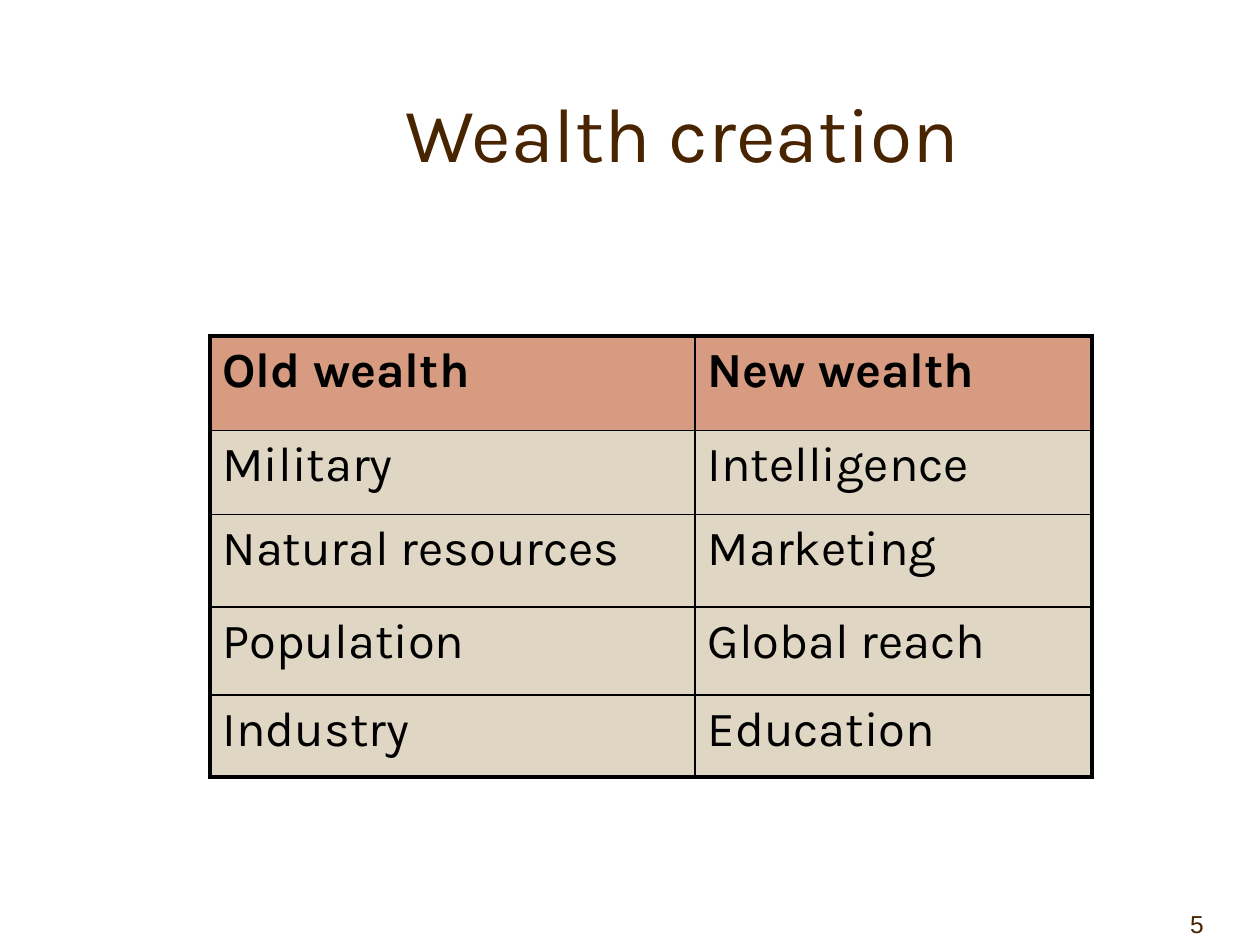
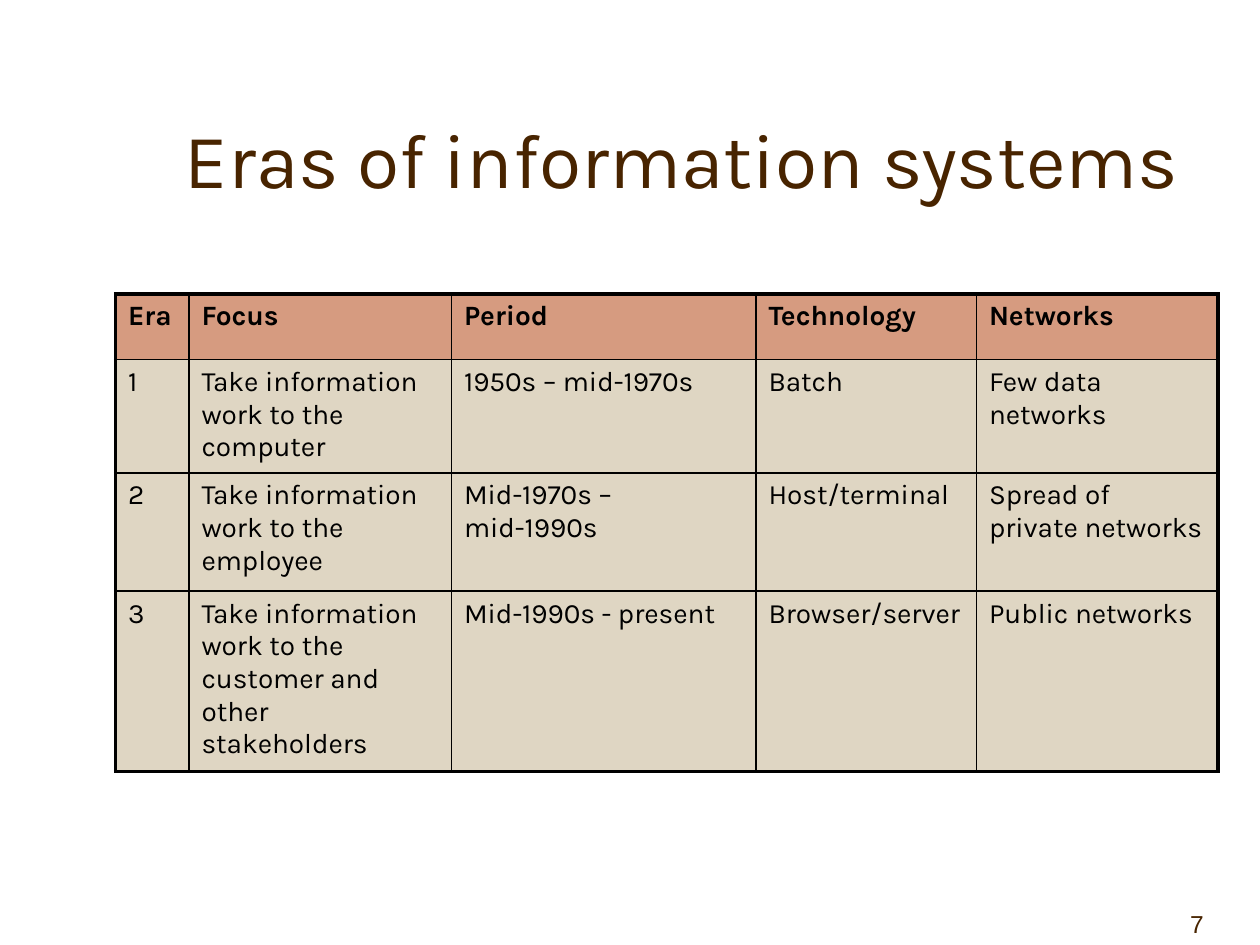
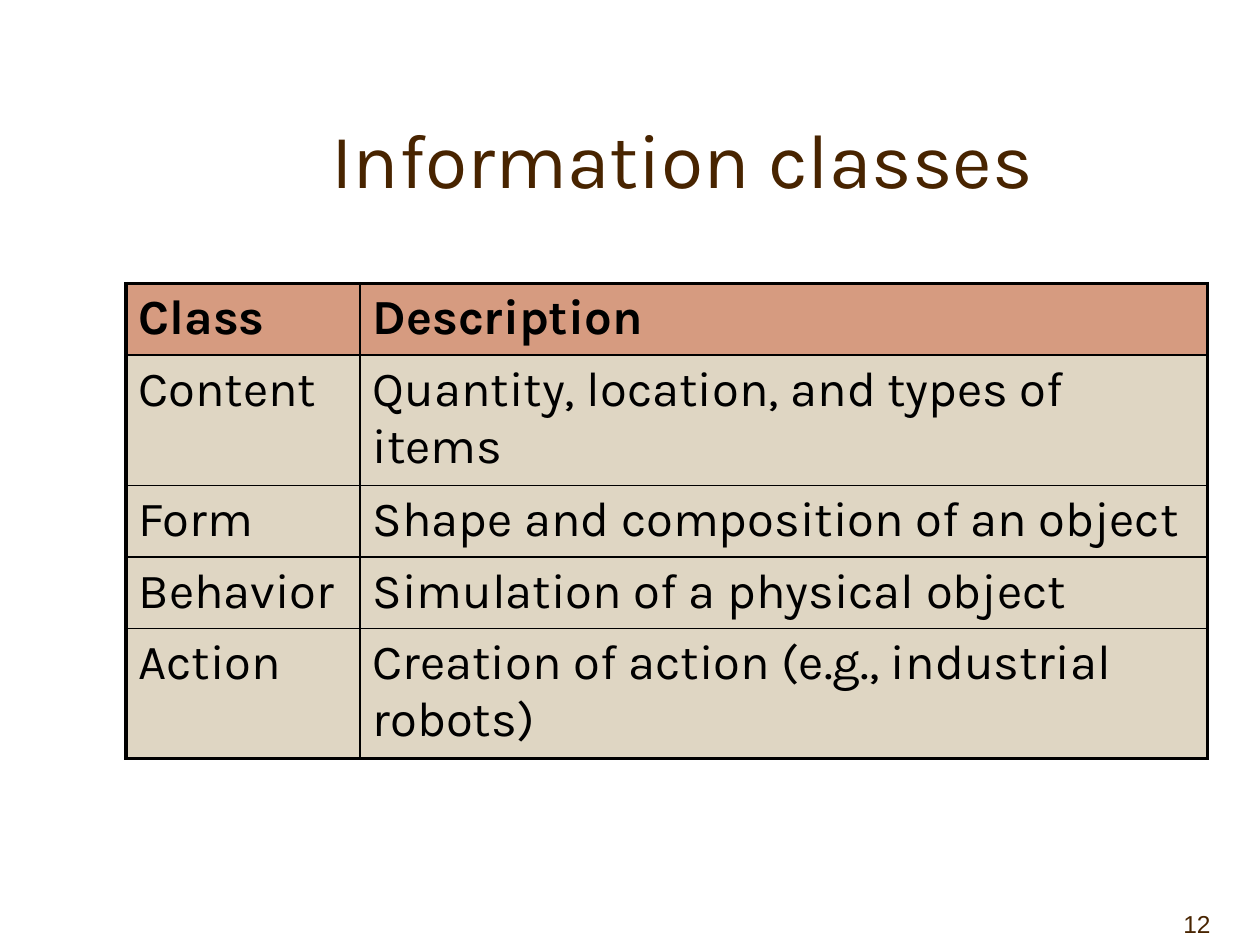
from lxml.etree import SubElement
from pptx import Presentation
from pptx.dml.color import RGBColor
from pptx.enum.text import MSO_ANCHOR, PP_ALIGN
from pptx.oxml.ns import qn
from pptx.util import Inches, Pt

# Grid: 120 columns by 90 rows on a 10 by 7.5 inch slide
CELL = Inches(10) / 120
COLUMNS, ROWS = 120, 90

BROWN, BLACK, HEADER_FILL, BODY_FILL = "482400", "000000", "D69B80", "DFD6C3"
TITLE_BOX = (14, 5, 102, 15)
NUMBER_BOX = (108, 84, 12, 6)
TITLE_FONT = {"name": "Karla", "size": Pt(44)}
NUMBER_FONT = {"name": "Arial", "size": Pt(14)}
OUTER_LINE, INNER_LINE = Pt(2.25), Pt(1)

SLIDES = [
    {
        "title": "Wealth creation", "anchor": MSO_ANCHOR.MIDDLE, "number": 5,
        "corner": (20, 32), "size": 28,
        "widths": [46.2, 37.8], "heights": [9, 8, 8.8, 8.4, 7.8],
        "rows": [
            ("Old wealth", "New wealth"),
            ("Military", "Intelligence"),
            ("Natural resources", "Marketing"),
            ("Population", "Global reach"),
            ("Industry", "Education"),
        ],
    },
    {
        "title": "Eras of information systems", "anchor": MSO_ANCHOR.BOTTOM, "number": 7,
        "corner": (11, 28), "size": 16,
        "widths": [7, 25, 29, 21, 23], "heights": [6.25, 10.5, 11.25, 16.8],
        "rows": [
            ("Era", "Focus", "Period", "Technology", "Networks"),
            ("1", "Take information work to the computer", "1950s – mid-1970s",
             "Batch", "Few data networks"),
            ("2", "Take information work to the employee", "Mid-1970s – mid-1990s",
             "Host/terminal", "Spread of private networks"),
            ("3", "Take information work to the customer and other stakeholders",
             "Mid-1990s - present", "Browser/server", "Public networks"),
        ],
    },
    {
        "title": "Information classes", "anchor": MSO_ANCHOR.BOTTOM, "number": 12,
        "corner": (12, 27), "size": 28,
        "widths": [22.3, 80.7], "heights": [6.6, 12.1, 6.6, 6.6, 12.1],
        "rows": [
            ("Class", "Description"),
            ("Content", "Quantity, location, and types of items"),
            ("Form", "Shape and composition of an object"),
            ("Behavior", "Simulation of a physical object"),
            ("Action", "Creation of action (e.g., industrial robots)"),
        ],
    },
]


def grid(*counts):
    return [round(count * CELL) for count in counts]


def color(hex_text):
    return RGBColor.from_string(hex_text)


def write(para, text, font, hex_text):
    span = para.add_run()
    span.text = text
    for name, value in font.items():
        setattr(span.font, name, value)
    span.font.color.rgb = color(hex_text)


def add_label(page, box, text, font, anchor):
    frame = page.shapes.add_textbox(*grid(*box)).text_frame
    for name, value in {"word_wrap": True, "vertical_anchor": anchor}.items():
        setattr(frame, name, value)
    para = frame.paragraphs[0]
    para.alignment = PP_ALIGN.CENTER
    write(para, text, font, BROWN)


def set_borders(cell, outer_sides):
    """Draw thick lines on the table's edge and thin ones inside it."""
    properties = cell._tc.get_or_add_tcPr()
    for side, is_outer in outer_sides.items():
        width = OUTER_LINE if is_outer else INNER_LINE
        line = SubElement(properties, qn(f"a:ln{side}"), w=str(width))
        fill = SubElement(line, qn("a:solidFill"))
        SubElement(fill, qn("a:srgbClr"), val=BLACK)


def add_grid_table(page, corner, rows, widths, heights, size):
    box = (*corner, sum(widths), sum(heights))
    table = page.shapes.add_table(len(rows), len(widths), *grid(*box)).table
    table.horz_banding = False
    for column, width in zip(table.columns, grid(*widths)):
        column.width = width
    for row, height in zip(table.rows, grid(*heights)):
        row.height = height

    last_row, last_column = len(rows) - 1, len(widths) - 1
    for r, texts in enumerate(rows):
        for c, text in enumerate(texts):
            cell = table.cell(r, c)
            set_borders(cell, {"L": c == 0, "R": c == last_column,
                               "T": r == 0, "B": r == last_row})
            cell.fill.solid()
            cell.fill.fore_color.rgb = color(BODY_FILL if r else HEADER_FILL)
            font = {"name": "Karla", "size": Pt(size), "bold": r == 0}
            write(cell.text_frame.paragraphs[0], text, font, BLACK)


def add_table_slide(deck, content):
    page = deck.slides.add_slide(deck.slide_layouts[6])
    add_label(page, TITLE_BOX, content["title"], TITLE_FONT, content["anchor"])
    add_grid_table(page, content["corner"], content["rows"], content["widths"],
                   content["heights"], content["size"])
    add_label(page, NUMBER_BOX, str(content["number"]), NUMBER_FONT, MSO_ANCHOR.BOTTOM)


def main():
    deck = Presentation()
    deck.slide_width, deck.slide_height = grid(COLUMNS, ROWS)
    for content in SLIDES:
        add_table_slide(deck, content)
    deck.save("out.pptx")


if __name__ == "__main__":
    main()
